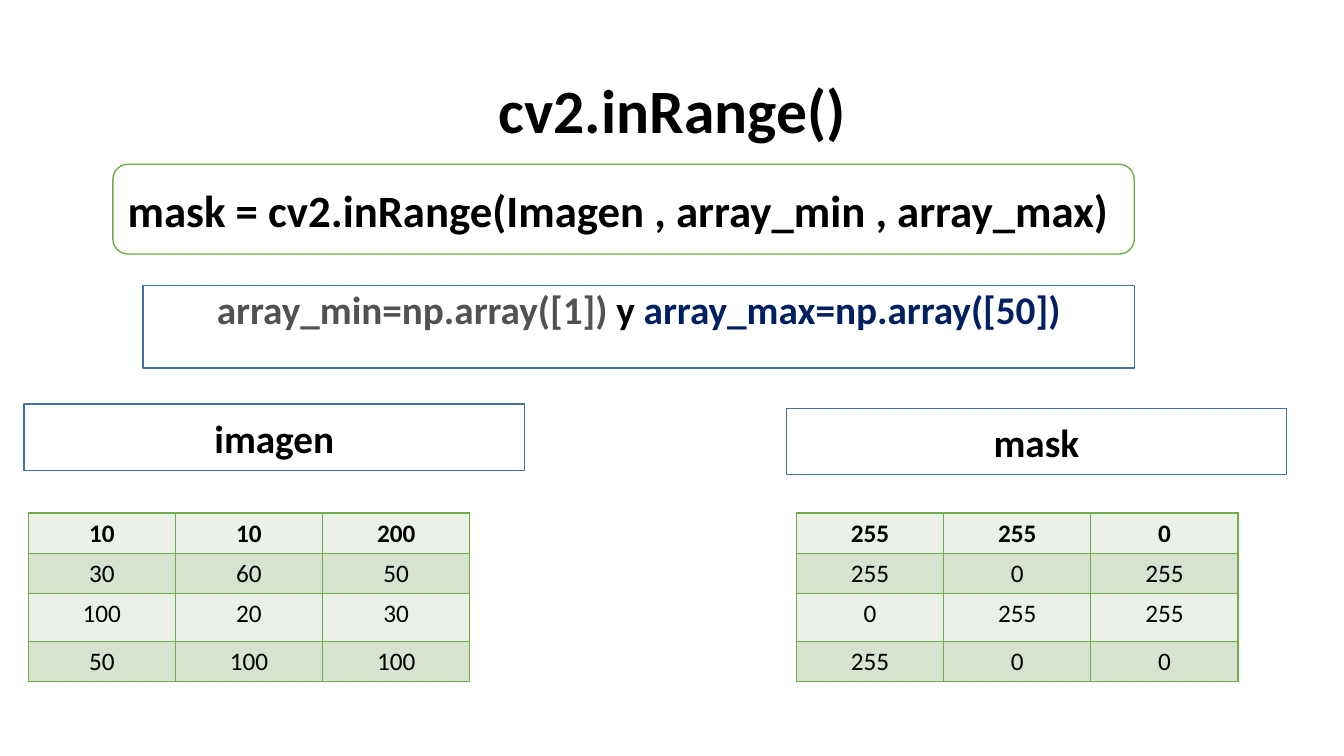
"""Builds a slide that explains cv2.inRange() with an image and its mask."""
from lxml.etree import SubElement
from pptx import Presentation
from pptx.dml.color import RGBColor
from pptx.enum.shapes import MSO_SHAPE
from pptx.enum.text import MSO_ANCHOR, PP_ALIGN
from pptx.oxml.ns import qn
from pptx.util import Inches, Pt

COLORS = {
    "black": "000000",
    "white": "FFFFFF",
    "gray": "525252",
    "navy": "002060",
    "blue": "43739E",
    "green": "70AD47",
    "light": "EBF1E9",
    "band": "D5E3CF",
}


class SlideBuilder:
    font_name = "Calibri"
    line_width = Pt(1)

    def __init__(self, slide):
        self.slide = slide

    def color(self, name):
        return RGBColor.from_string(COLORS[name])

    def add_text(self, text_frame, parts, size, bold=True):
        paragraph = text_frame.paragraphs[0]
        paragraph.alignment = PP_ALIGN.CENTER
        for text, color_name in parts:
            run = paragraph.add_run()
            run.text = text
            run.font.name = self.font_name
            run.font.size = Pt(size)
            run.font.bold = bold
            run.font.color.rgb = self.color(color_name)

    def title(self, text, left, top, width, height):
        box = self.slide.shapes.add_textbox(
            Inches(left), Inches(top), Inches(width), Inches(height))
        text_frame = box.text_frame
        text_frame.word_wrap = True
        text_frame.vertical_anchor = MSO_ANCHOR.MIDDLE
        self.add_text(text_frame, [(text, "black")], 44)
        text_frame.paragraphs[0].line_spacing = 0.9

    def frame(self, parts, left, top, width, height, size=28,
              kind=MSO_SHAPE.RECTANGLE, line="blue", fill=None):
        shape = self.slide.shapes.add_shape(
            kind, Inches(left), Inches(top), Inches(width), Inches(height))
        shape.shadow.inherit = False
        if fill:
            shape.fill.solid()
            shape.fill.fore_color.rgb = self.color(fill)
        else:
            shape.fill.background()
        shape.line.color.rgb = self.color(line)
        shape.line.width = self.line_width
        shape.text_frame.word_wrap = True
        shape.text_frame.vertical_anchor = MSO_ANCHOR.MIDDLE
        self.add_text(shape.text_frame, parts, size)
        return shape

    def cell_borders(self, cell):
        properties = cell._tc.get_or_add_tcPr()
        for side in ("a:lnL", "a:lnR", "a:lnT", "a:lnB"):
            border = SubElement(properties, qn(side), w=str(self.line_width))
            fill = SubElement(border, qn("a:solidFill"))
            SubElement(fill, qn("a:srgbClr"), val=COLORS["green"])

    def matrix(self, rows, left, top, column_width, row_heights):
        table = self.slide.shapes.add_table(
            len(rows), len(rows[0]), Inches(left), Inches(top),
            Inches(column_width * len(rows[0])), Inches(sum(row_heights))).table
        for column in table.columns:
            column.width = Inches(column_width)
        for row_index, values in enumerate(rows):
            table.rows[row_index].height = Inches(row_heights[row_index])
            for column_index, value in enumerate(values):
                cell = table.cell(row_index, column_index)
                self.cell_borders(cell)
                cell.fill.solid()
                cell.fill.fore_color.rgb = self.color("band" if row_index % 2 else "light")
                self.add_text(cell.text_frame, [(str(value), "black")], 18, bold=row_index == 0)


def main():
    presentation = Presentation()
    presentation.slide_width = Inches(13.33)
    presentation.slide_height = Inches(7.5)
    builder = SlideBuilder(presentation.slides.add_slide(presentation.slide_layouts[6]))

    builder.title("cv2.inRange()", 0.92, 0.4, 11.5, 1.45)
    builder.frame([("mask = cv2.inRange(Imagen , array_min , array_max) ", "black")],
                  1.12, 1.63, 10.13, 0.89, size=32,
                  kind=MSO_SHAPE.ROUNDED_RECTANGLE, line="green", fill="white")

    limits = builder.frame([("array_min=np.array([1]) ", "gray"), ("y ", "black"),
                            ("array_max=np.array([50])", "navy")],
                           1.42, 2.83, 9.83, 0.82)
    limits.text_frame.vertical_anchor = MSO_ANCHOR.TOP
    limits.text_frame.margin_top = 0

    image_rows = [(10, 10, 200), (30, 60, 50), (100, 20, 30), (50, 100, 100)]
    mask_rows = [[255 if 1 <= value <= 50 else 0 for value in row] for row in image_rows]
    panels = [("imagen", 0.24, 4.01, image_rows, 0.28), ("mask", 7.8, 4.05, mask_rows, 7.9)]
    for name, label_left, label_top, rows, table_left in panels:
        builder.frame([(name, "black")], label_left, label_top, 4.96, 0.66)
        builder.matrix(rows, table_left, 5.09, 1.46, [0.4, 0.4, 0.47, 0.4])

    presentation.save("out.pptx")


if __name__ == "__main__":
    main()
